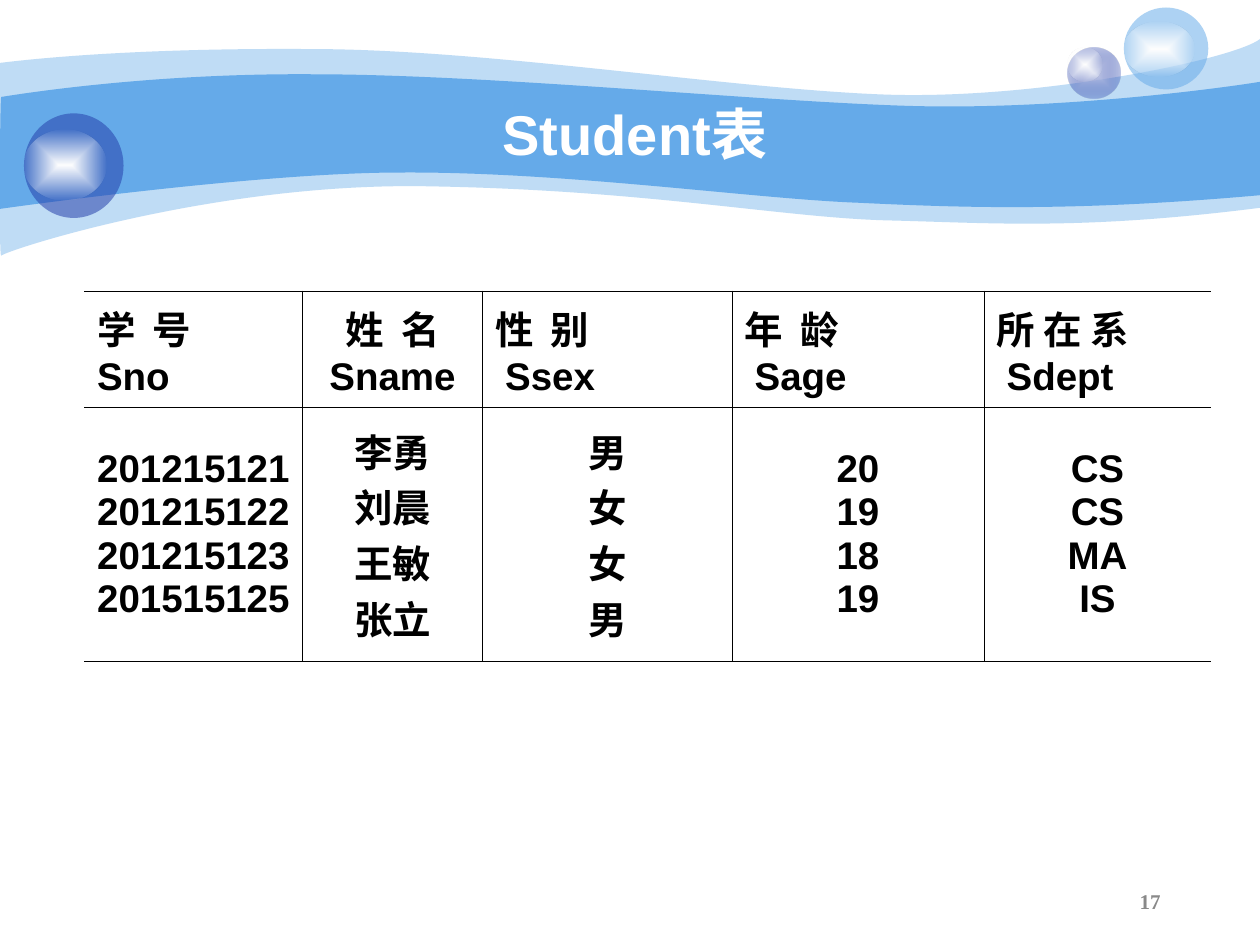
from lxml import etree
from pptx import Presentation, util as u
from pptx.dml.color import RGBColor
from pptx.enum import shapes, text
from pptx.oxml import parse_xml
from pptx.oxml.ns import nsdecls, qn

WIDTH, HEIGHT = 10, 7.5
BLUE, NAVY, WHITE, BLACK = "65AAE9", "233DA9", "FFFFFF", "000000"
LEFT, CENTER, RIGHT = text.PP_ALIGN.LEFT, text.PP_ALIGN.CENTER, text.PP_ALIGN.RIGHT

# Each wave starts at a point and runs through curves (six numbers) and lines (two).
PALE_WAVE = [
    (0, 0.5), (0.24, 0.47, 1.07, 0.38, 2.47, 0.39), (3.86, 0.39, 5.75, 0.7, 6.99, 0.75),
    (8.22, 0.8, 9.8, 0.47, 10, 0.31), (10, 1.65), (8.58, 1.83, 7.87, 1.77, 7.05, 1.75),
    (6.22, 1.73, 5.15, 1.51, 3.43, 1.48), (1.72, 1.44, 0.04, 1.99, 0.01, 2.03),
    (-0.01, 2.08, 0, 0.75, 0, 0.5)]
BRIGHT_WAVE = [
    (0.01, 0.77), (0.02, 0.77, 1.1, 0.58, 2.48, 0.59), (3.86, 0.59, 5.95, 0.8, 7.18, 0.84),
    (8.41, 0.88, 9.76, 0.69, 10, 0.65), (10, 1.55), (8.53, 1.68, 7.65, 1.65, 6.82, 1.61),
    (5.99, 1.58, 4.47, 1.36, 3.17, 1.37), (2.03, 1.37, -0.02, 1.66, -0.01, 1.66),
    (0, 1.66, 0, 0.77, 0.01, 0.77)]

# Heading lines, heading alignment, indent of the second line, width, entries
COLUMNS = [
    (("学 号", "Sno"), LEFT, 0, 1.73, ("201215121", "201215122", "201215123", "201515125")),
    (("姓 名", "Sname"), CENTER, 0, 1.43, ("李勇", "刘晨", "王敏", "张立")),
    (("性 别", "Ssex"), LEFT, 0.08, 1.98, ("男", "女", "女", "男")),
    (("年 龄", "Sage"), LEFT, 0.08, 2, ("20", "19", "18", "19")),
    (("所 在 系", "Sdept"), LEFT, 0.08, 1.8, ("CS", "CS", "MA", "IS")),
]


def color(value):
    return RGBColor.from_string(value)


def inches(box):
    return [u.Inches(length) for length in box]


def set_font(paragraph, size, value, name="Arial"):
    font = paragraph.font
    font.name, font.size, font.bold = name, u.Pt(size), True
    font.color.rgb = color(value)


def fill_solid(shape, value, opacity=100):
    shape.shadow.inherit = False
    shape.line.fill.background()
    shape.fill.solid()
    shape.fill.fore_color.rgb = color(value)
    if opacity < 100:
        srgb = shape.fill._xPr.find(qn("a:solidFill"))[0]
        etree.SubElement(srgb, qn("a:alpha"), val=str(opacity * 1000))


def fill_glow(shape, inner, outer, opacity):
    """Fill from the middle outwards, ending in a see-through colour."""
    fill_solid(shape, inner)
    solid = shape.fill._xPr.find(qn("a:solidFill"))
    solid.getparent().replace(solid, parse_xml(
        f'<a:gradFill {nsdecls("a")} rotWithShape="1"><a:gsLst>'
        f'<a:gs pos="0"><a:srgbClr val="{inner}"/></a:gs>'
        f'<a:gs pos="100000"><a:srgbClr val="{outer}">'
        f'<a:alpha val="{opacity * 1000}"/></a:srgbClr></a:gs></a:gsLst>'
        '<a:path path="rect"><a:fillToRect l="50000" t="50000" r="50000" b="50000"/>'
        '</a:path></a:gradFill>'))


def add_wave(slide, outline, opacity):
    """Draw all points as lines, then join each three of a curve into a Bezier."""
    points = [(round(part[i] * 100), round(part[i + 1] * 100))
              for part in outline for i in range(0, len(part), 2)]
    builder = slide.shapes.build_freeform(*points[0], scale=u.Inches(0.01))
    builder.add_line_segments(points[1:], close=True)
    wave = builder.convert_to_shape()
    segments = iter(list(wave._element.iter(qn("a:lnTo"))))
    for part in outline[1:]:
        first = next(segments)
        if len(part) == 6:
            first.tag = qn("a:cubicBezTo")
            for _ in range(2):
                segment = next(segments)
                first.append(segment[0])
                segment.getparent().remove(segment)
    fill_solid(wave, BLUE, opacity)


def add_bubble(slide, box, shine, value, opacity, glow=None):
    """A ball with a shine, which is given as shares of the ball's box."""
    left, top, width, height = box
    shine_top, shine_width, shine_height = shine
    ball = slide.shapes.add_shape(shapes.MSO_SHAPE.OVAL, *inches(box))
    if glow:
        fill_glow(ball, glow, value, opacity)
    else:
        fill_solid(ball, value, opacity)
    spot = slide.shapes.add_shape(shapes.MSO_SHAPE.OVAL, *inches(
        (left, top + shine_top * height, shine_width * width, shine_height * height)))
    fill_glow(spot, WHITE, WHITE, 0)


def add_banner(slide):
    add_wave(slide, PALE_WAVE, 41)
    add_wave(slide, BRIGHT_WAVE, 100)
    add_bubble(slide, (8.47, 0.38, 0.42, 0.4), (0, 0.67, 0.67), NAVY, 31, "C7CEE9")
    add_bubble(slide, (8.92, 0.06, 0.67, 0.65), (0.17, 0.83, 0.67), BLUE, 53)
    add_bubble(slide, (0.19, 0.9, 0.79, 0.83), (0.16, 0.83, 0.67), NAVY, 53)


def add_label(slide, box, words, align, *font):
    frame = slide.shapes.add_textbox(*inches(box)).text_frame
    frame.word_wrap = True
    frame.vertical_anchor = text.MSO_ANCHOR.MIDDLE
    paragraph = frame.paragraphs[0]
    paragraph.text, paragraph.alignment = words, align
    set_font(paragraph, *font)


def set_borders(cell, **sides):
    properties = cell._tc.get_or_add_tcPr()
    for side, shown in sides.items():
        line = etree.SubElement(properties, qn(f"a:ln{side}"), w="5715")
        if shown:
            fill = etree.SubElement(line, qn("a:solidFill"))
            etree.SubElement(fill, qn("a:srgbClr"), val=BLACK)
        else:
            etree.SubElement(line, qn("a:noFill"))


def fill_cell(cell, lines, align):
    cell.vertical_anchor = text.MSO_ANCHOR.MIDDLE
    cell.text = "\n".join(lines)
    for paragraph in cell.text_frame.paragraphs:
        paragraph.alignment = align
        set_font(paragraph, 22, BLACK)


def add_student_table(slide, box):
    table = slide.shapes.add_table(2, len(COLUMNS), *inches(box)).table
    table.first_row = table.horz_banding = False
    table.rows[0].height, table.rows[1].height = inches((0.92, box[3] - 0.92))
    for index, (heading, align, indent, width, entries) in enumerate(COLUMNS):
        table.columns[index].width = u.Inches(width)
        head, body = table.cell(0, index), table.cell(1, index)
        fill_cell(head, heading, align)
        fill_cell(body, entries, CENTER)
        chinese, english = head.text_frame.paragraphs
        if len(heading[0]) == 3:
            chinese.runs[0]._r.get_or_add_rPr().set("spc", "250")
        if indent:
            english._p.get_or_add_pPr().set("marL", str(u.Inches(indent)))
        for cell in (head, body):
            set_borders(cell, L=index > 0, R=index < len(COLUMNS) - 1, T=True, B=True)
            cell.fill.background()


def main():
    presentation = Presentation()
    presentation.slide_width, presentation.slide_height = inches((WIDTH, HEIGHT))
    slide = presentation.slides.add_slide(presentation.slide_layouts[6])
    add_banner(slide)
    add_label(slide, (1, 0.75, 8.08, 0.62), "Student表", CENTER, 32, WHITE)
    add_student_table(slide, (0.67, 2.31, 8.94, 2.94))
    add_label(slide, (7.06, 6.95, 2.25, 0.4), "17", RIGHT, 12, "898989", "Times New Roman")
    presentation.save("out.pptx")


if __name__ == "__main__":
    main()
